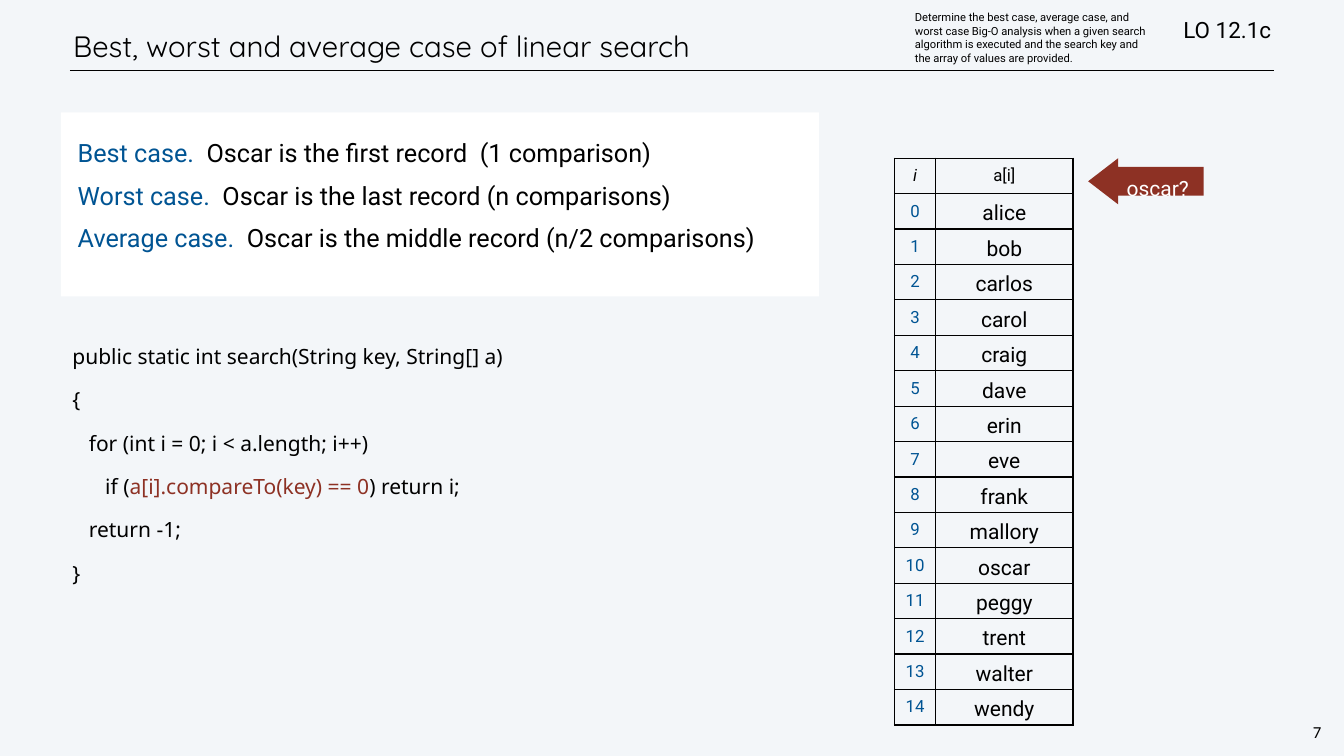
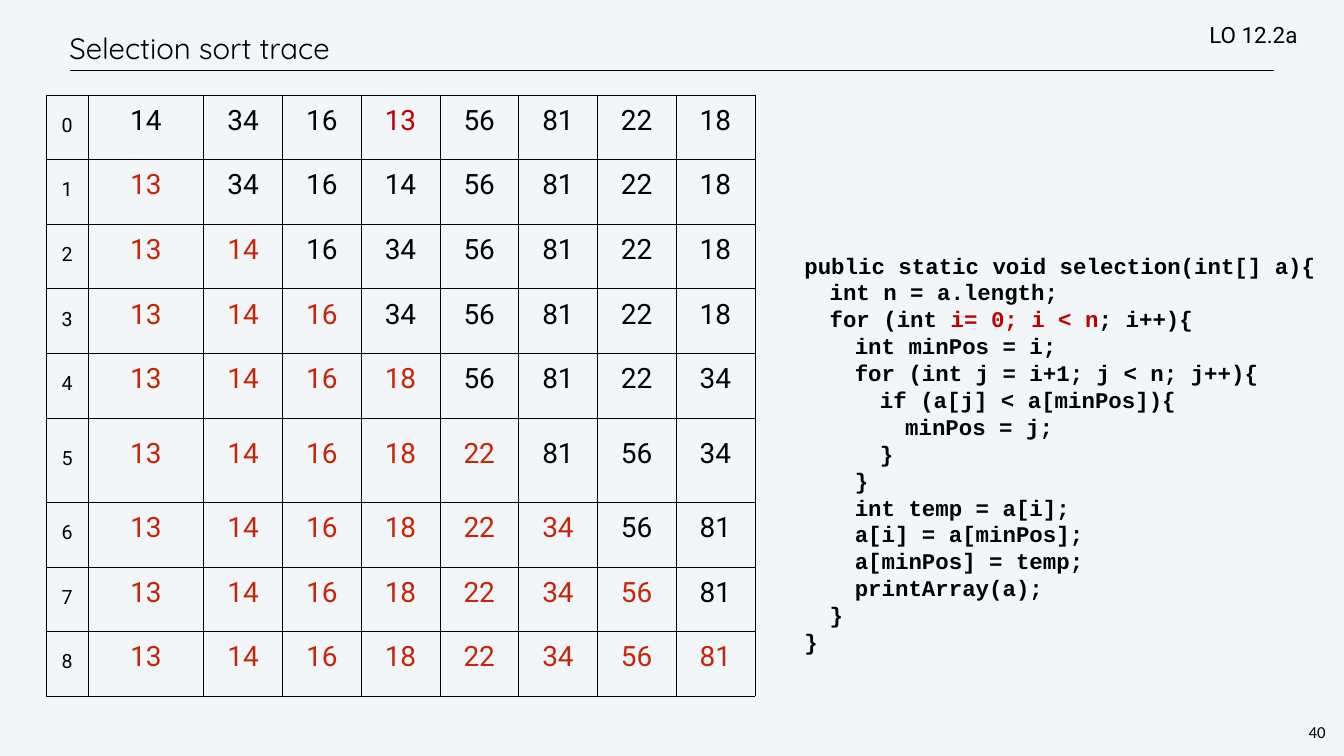
from lxml import etree
from pptx import Presentation
from pptx.dml.color import RGBColor
from pptx.enum.shapes import MSO_CONNECTOR, MSO_SHAPE
from pptx.enum.text import MSO_ANCHOR, MSO_AUTO_SIZE, PP_ALIGN
from pptx.oxml.ns import qn
from pptx.util import Pt

STRAIGHT = MSO_CONNECTOR.STRAIGHT
RECTANGLE, LEFT_ARROW = MSO_SHAPE.RECTANGLE, MSO_SHAPE.LEFT_ARROW
TOP, MIDDLE = MSO_ANCHOR.TOP, MSO_ANCHOR.MIDDLE
LEFT, CENTER = PP_ALIGN.LEFT, PP_ALIGN.CENTER
FIXED = MSO_AUTO_SIZE.NONE

PAPER, WHITE, BLACK = "F3F6F9", "FFFFFF", "000000"
BLUE, BRICK, RED, SORTED_RED = "005493", "8D3124", "C00000", "C82506"
BODY_FONT, TITLE_FONT, NUMBER_FONT = "Roboto", "Quicksand", "Calibri"

OBJECTIVE = (
    "Determine the best case, average case, and worst case Big-O analysis when a "
    "given search algorithm is executed and the search key and the array of values "
    "are provided."
)
CASES = [
    "Best case.  Oscar is the first record  (1 comparison)",
    "Worst case.  Oscar is the last record (n comparisons)",
    "Average case.  Oscar is the middle record (n/2 comparisons)",
]
CASE_LABELS = ["Best case.", "Worst case.", "Average case."]
SEARCH_CODE = [
    "public static int search(String key, String[] a)",
    "{",
    "   for (int i = 0; i < a.length; i++)",
    "      if (a[i].compareTo(key) == 0) return i;",
    "   return -1;",
    "}",
]
NAMES = [
    "alice", "bob", "carlos", "carol", "craig", "dave", "erin", "eve",
    "frank", "mallory", "oscar", "peggy", "trent", "walter", "wendy",
]
SORT_CODE = [
    "\tpublic static void selection(int[] a){",
    "\t\tint n = a.length;",
    "\t\tfor (int i= 0; i < n; i++){",
    "\t\t\tint minPos = i;",
    "\t\t\tfor (int j = i+1; j < n; j++){",
    "\t\t\t\tif (a[j] < a[minPos]){",
    "\t\t\t\t\tminPos = j;",
    "\t\t\t\t}",
    "\t\t\t}",
    "\t\t\tint temp = a[i];",
    "\t\t\ta[i] = a[minPos];",
    "\t\t\ta[minPos] = temp;",
    "\t\t\tprintArray(a);",
    "\t\t}",
    "\t}",
]
UNSORTED = [14, 34, 16, 13, 56, 81, 22, 18]


def rgb(value):
    """Turn a hex string into a colour."""
    return RGBColor.from_string(value)


def points(*lengths):
    """Convert several lengths in points."""
    return [Pt(length) for length in lengths]


def split_accents(line, accents):
    """Cut a line into (text, is_accent) pieces."""
    for accent in accents:
        if accent in line:
            before, _, after = line.partition(accent)
            pieces = [(before, False), (accent, True), (after, False)]
            return [piece for piece in pieces if piece[0]]
    return [(line, False)]


def write(frame, lines, size, font=BODY_FONT, color=BLACK, accents=(), accent_color=BLACK,
          spacing=None, before=0, align=LEFT, bold=False, italic=False):
    """Fill a text frame with formatted lines."""
    frame.text = "\n".join(lines)
    for index, (paragraph, line) in enumerate(zip(frame.paragraphs, lines)):
        pieces = split_accents(line, accents)
        paragraph.text = pieces[0][0]
        for text, _ in pieces[1:]:
            paragraph.add_run().text = text
        paragraph.alignment = align
        if spacing:
            paragraph.line_spacing = Pt(spacing)
        paragraph.space_before = Pt(before if index else 0)
        for run, (_, is_accent) in zip(paragraph.runs, pieces):
            run.font.size, run.font.name = Pt(size), font
            run.font.bold, run.font.italic = bold, italic
            run.font.color.rgb = rgb(accent_color if is_accent else color)


def set_frame(frame, inset, anchor=TOP, wrap=True):
    """Set the insets, anchor and wrapping of a text frame."""
    frame.auto_size = FIXED
    frame.word_wrap = wrap
    frame.vertical_anchor = anchor
    frame.margin_left = frame.margin_right = Pt(inset)
    frame.margin_top = frame.margin_bottom = Pt(inset)


def add_text(slide, box, lines, size, inset=4.5, anchor=TOP, wrap=True, **style):
    """Add a text box and return its frame."""
    frame = slide.shapes.add_textbox(*points(*box)).text_frame
    set_frame(frame, inset, anchor, wrap)
    write(frame, lines, size, **style)
    return frame


def add_block(slide, kind, box, fill):
    """Add a flat filled shape without outline."""
    block = slide.shapes.add_shape(kind, *points(*box))
    block.shadow.inherit = False
    block.fill.solid()
    block.fill.fore_color.rgb = rgb(fill)
    block.line.fill.background()
    return block


def set_borders(cell, width):
    """Draw black borders around a cell."""
    properties = cell._tc.get_or_add_tcPr()
    for index, side in enumerate(("a:lnL", "a:lnR", "a:lnT", "a:lnB")):
        border = etree.Element(qn(side), w=str(Pt(width)))
        fill = etree.SubElement(border, qn("a:solidFill"))
        etree.SubElement(fill, qn("a:srgbClr"), val=BLACK)
        properties.insert(index, border)


def add_grid(slide, origin, widths, heights, border):
    """Add a plain ruled table with unfilled cells."""
    size = sum(widths), sum(heights)
    grid = slide.shapes.add_table(len(heights), len(widths), *points(*origin, *size)).table
    grid.first_row = grid.horz_banding = False
    for column, width in zip(grid.columns, widths):
        column.width = Pt(width)
    for row, height in zip(grid.rows, heights):
        row.height = Pt(height)
    for cell in grid.iter_cells():
        cell.fill.background()
        cell.vertical_anchor = MIDDLE
        set_borders(cell, border)
    return grid


def add_base(deck, title, title_at, objective_code, code_at, number):
    """Add a slide with title, rule, objective code and page number."""
    slide = deck.slides.add_slide(deck.slide_layouts[5])
    rule = slide.shapes.add_connector(STRAIGHT, *points(100, 101, 1820, 101))
    rule.line.color.rgb = rgb(BLACK)
    rule.line.width = Pt(1)
    etree.SubElement(rule._element.spPr, qn("a:effectLst"))
    heading = slide.shapes.title
    heading.left, heading.top, heading.width, heading.height = points(*title_at, 1628.5, 71.5)
    set_frame(heading.text_frame, 4.5, MIDDLE)
    write(heading.text_frame, [title], 42, TITLE_FONT, spacing=50)
    add_text(slide, (1866, 1029, 31, 34), [number], 24, inset=3, wrap=False,
             font=NUMBER_FONT, spacing=28, align=CENTER)
    add_text(slide, (*code_at, 215, 47), [objective_code], 32, anchor=MIDDLE)
    return slide


def add_name_list(slide):
    """Add the indexed array of names."""
    grid = add_grid(slide, (1278, 226), (58.5, 196.5), [50.6] * (len(NAMES) + 1), 2)
    for cell in grid.iter_cells():
        cell.margin_left = cell.margin_right = cell.margin_top = cell.margin_bottom = 0
    write(grid.cell(0, 0).text_frame, ["i"], 24, italic=True, align=CENTER)
    write(grid.cell(0, 1).text_frame, ["a[i]"], 24, align=CENTER)
    for index, name in enumerate(NAMES):
        write(grid.cell(index + 1, 0).text_frame, [str(index)], 24, color=BLUE, align=CENTER)
        write(grid.cell(index + 1, 1).text_frame, [name], 30, spacing=42, align=CENTER)


def selection_steps(values):
    """List the array before and after each pass of selection sort."""
    steps = [list(values)]
    for start in range(len(values)):
        step = list(steps[-1])
        smallest = step.index(min(step[start:]), start)
        step[start], step[smallest] = step[smallest], step[start]
        steps.append(step)
    return steps


def add_trace(slide):
    """Add the selection sort trace with the sorted part in red."""
    steps = selection_steps(UNSORTED)
    heights = [121 if step == 5 else 92.2 for step in range(len(steps))]
    grid = add_grid(slide, (66, 136), [60, 165] + [112.5] * 7, heights, 1)
    for passes, values in enumerate(steps):
        write(grid.cell(passes, 0).text_frame, [str(passes)], 28, spacing=28, align=CENTER)
        for place, value in enumerate(values):
            color = SORTED_RED if place < passes else BLACK
            if passes == 0 and value == min(UNSORTED):
                color = RED
            write(grid.cell(passes, place + 1).text_frame, [str(value)], 40,
                  color=color, spacing=28, align=CENTER)


def set_tab_stops(paragraph, step, count):
    """Give a paragraph evenly spaced left tab stops."""
    stops = etree.SubElement(paragraph._p.get_or_add_pPr(), qn("a:tabLst"))
    for index in range(1, count + 1):
        etree.SubElement(stops, qn("a:tab"), pos=str(Pt(step * index)), algn="l")


def build_search(deck):
    """Build the linear search slide."""
    slide = add_base(deck, "Best, worst and average case of linear search", (100, 30),
                     "LO 12.1c", (1686, 19), "7")
    add_name_list(slide)
    arrow = add_block(slide, LEFT_ARROW, (1554.5, 226, 165, 66), BRICK)
    arrow.adjustments[0], arrow.adjustments[1] = 0.62, 0.65
    add_text(slide, (1605, 240, 99, 44), ["oscar?"], 30, wrap=False, color=WHITE, spacing=42)
    cases = add_block(slide, RECTANGLE, (87, 160.5, 1083, 263), WHITE)
    set_frame(cases.text_frame, 24)
    write(cases.text_frame, CASES, 36, accents=CASE_LABELS, accent_color=BLUE,
          spacing=55, before=6)
    add_text(slide, (1302.5, 11, 340.5, 85.5), [OBJECTIVE], 16, anchor=MIDDLE)
    code = add_text(slide, (84, 478, 958, 280), SEARCH_CODE, 30, font="Noto Sans",
                    accents=["a[i].compareTo(key) == 0"], accent_color=BRICK,
                    spacing=44, before=18)
    code.margin_left = Pt(19.5)


def build_sort(deck):
    """Build the selection sort slide."""
    slide = add_base(deck, "Selection sort trace", (94.5, 32.5), "LO 12.2a", (1723, 26.5), "40")
    code = add_text(slide, (1106, 355, 791, 589), SORT_CODE, 32, font="Courier New", bold=True,
                    accents=["i= 0; i < n"], accent_color=RED, spacing=38.4)
    code.margin_left = Pt(7.2)
    for line in code.paragraphs:
        set_tab_stops(line, 36, 5)
    add_trace(slide)


def main():
    """Build and save the deck."""
    deck = Presentation()
    deck.slide_width, deck.slide_height = points(1920, 1080)
    backdrop = deck.slide_master.background.fill
    backdrop.solid()
    backdrop.fore_color.rgb = rgb(PAPER)
    build_search(deck)
    build_sort(deck)
    deck.save("out.pptx")


if __name__ == "__main__":
    main()
